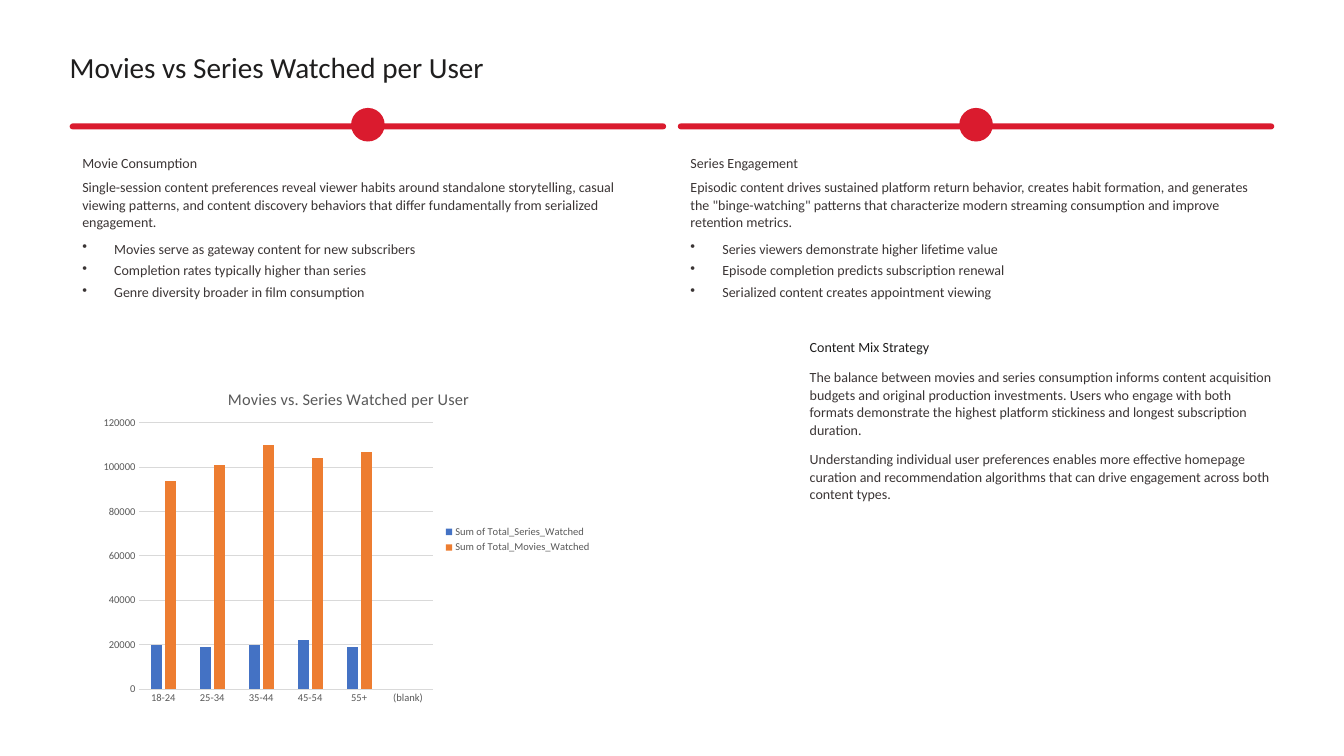
from dataclasses import dataclass

from lxml import etree
from pptx import Presentation
from pptx import util as u
from pptx.chart.data import CategoryChartData
from pptx.dml.color import RGBColor
from pptx.enum import chart as charts, shapes
from pptx.oxml.ns import qn


@dataclass(frozen=True)
class Theme:
    font: str = "Calibri"
    paper: str = "FFFFFF"
    heading: str = "1F1E1E"
    body: str = "3B3535"
    accent: str = "DA1B2E"
    axis_text: str = "595959"
    grid: str = "D9D9D9"
    series: tuple = ("4472C4", "ED7D31")
    title_size: float = 25
    body_size: float = 12
    chart_title_size: float = 14
    chart_size: float = 9


THEME = Theme()

MOVIES = (
    "Movie Consumption",
    "Single-session content preferences reveal viewer habits around standalone storytelling, "
    "casual viewing patterns, and content discovery behaviors that differ fundamentally from "
    "serialized engagement.",
    ["Movies serve as gateway content for new subscribers",
     "Completion rates typically higher than series",
     "Genre diversity broader in film consumption"],
)
SERIES = (
    "Series Engagement",
    "Episodic content drives sustained platform return behavior, creates habit formation, and "
    'generates the "binge-watching" patterns that characterize modern streaming consumption '
    "and improve retention metrics.",
    ["Series viewers demonstrate higher lifetime value",
     "Episode completion predicts subscription renewal",
     "Serialized content creates appointment viewing"],
)
STRATEGY = (
    "Content Mix Strategy",
    "The balance between movies and series consumption informs content acquisition budgets and "
    "original production investments. Users who engage with both formats demonstrate the "
    "highest platform stickiness and longest subscription duration.",
    "Understanding individual user preferences enables more effective homepage curation and "
    "recommendation algorithms that can drive engagement across both content types.",
)
AGE_GROUPS = ["18-24", "25-34", "35-44", "45-54", "55+", "(blank)"]
WATCHED = {
    "Sum of Total_Series_Watched": [20000, 19000, 20000, 22000, 19000, None],
    "Sum of Total_Movies_Watched": [94000, 101000, 110000, 104000, 107000, None],
}


def style_font(font, size, color):
    font.name, font.size, font.bold = THEME.font, u.Pt(size), False
    font.color.rgb = RGBColor.from_string(color)


def add_bullet(para, indent):
    props = para._p.get_or_add_pPr()
    props.set("marL", str(u.Inches(indent)))
    props.set("indent", str(-u.Inches(indent)))
    etree.SubElement(props, qn("a:buChar")).set("char", "•")


def add_text(page, box, lines, color=THEME.body, size=THEME.body_size,
             leading=15, gap=0, bullets=False):
    """Place one paragraph per line, with gap points between paragraphs."""
    frame = page.shapes.add_textbox(*map(u.Inches, box)).text_frame
    frame.word_wrap = True
    frame.margin_left = frame.margin_right = frame.margin_top = frame.margin_bottom = 0
    for index, line in enumerate(lines):
        para = frame.add_paragraph() if index else frame.paragraphs[0]
        if bullets:
            add_bullet(para, 0.38)
        para.line_spacing = u.Pt(leading)
        if index:
            para.space_before = u.Pt(gap)
        span = para.add_run()
        span.text = line
        style_font(span.font, size, color)


def add_accent(page, kind, box):
    shape = page.shapes.add_shape(kind, *map(u.Inches, box))
    shape.shadow.inherit = False
    shape.fill.solid()
    shape.fill.fore_color.rgb = RGBColor.from_string(THEME.accent)
    shape.line.fill.background()
    return shape


def add_topic(page, box, topic):
    """Red bar with a centred dot, then heading, summary and bullets."""
    left, top, width, _ = box
    heading, summary, points = topic
    bar, dot, pad = 0.07, 0.4, 0.15
    line = add_accent(page, shapes.MSO_SHAPE.ROUNDED_RECTANGLE, (left, top, width, bar))
    line.adjustments[0] = 0.5
    add_accent(page, shapes.MSO_SHAPE.OVAL,
               (left + (width - dot) / 2, top + bar / 2 - dot / 2 - 0.02, dot, dot))
    inner = width - 2 * pad
    add_text(page, (left + pad, top + 0.35, inner, 0.22), [heading], leading=15.5)
    add_text(page, (left + pad, top + 0.65, inner, 0.65), [summary])
    add_text(page, (left + pad, top + 1.38, inner, 0.74), points, gap=3.75, bullets=True)


def add_strategy(page, box):
    left, top, width, height = box
    heading, *paragraphs = STRATEGY
    add_text(page, (left, top, width, 0.22), [heading], THEME.heading, leading=15.5)
    add_text(page, (left, top + 0.36, width, height - 0.36), paragraphs, gap=10.5)


def set_layout(parent, index, **places):
    """Give a chart part a manual layout, in shares of the chart."""
    for old in parent.findall(qn("c:layout")):
        parent.remove(old)
    layout = etree.Element(qn("c:layout"))
    manual = etree.SubElement(layout, qn("c:manualLayout"))
    for name, value in places.items():
        etree.SubElement(manual, qn(f"c:{name}")).set("val", str(value))
    parent.insert(index, layout)


def add_watch_chart(page, box):
    data = CategoryChartData()
    data.categories = AGE_GROUPS
    for name, values in WATCHED.items():
        data.add_series(name, values)
    chart = page.shapes.add_chart(charts.XL_CHART_TYPE.COLUMN_CLUSTERED,
                                  *map(u.Inches, box), data).chart
    style_font(chart.font, THEME.chart_size, THEME.axis_text)

    chart.has_title = True
    span = chart.chart_title.text_frame.paragraphs[0].add_run()
    span.text = "Movies vs. Series Watched per User"
    style_font(span.font, THEME.chart_title_size, THEME.axis_text)
    chart.chart_title.include_in_layout = False
    set_layout(chart.chart_title._element, 1, xMode="edge", yMode="edge", x=0.26, y=0.05)
    set_layout(chart._chartSpace.chart.plotArea, 0, layoutTarget="inner", xMode="edge",
               yMode="edge", x=0.09, y=0.16, w=0.58, h=0.775)

    chart.has_legend = True
    chart.legend.position = charts.XL_LEGEND_POSITION.RIGHT
    chart.legend.include_in_layout = False
    style_font(chart.legend.font, THEME.chart_size, THEME.axis_text)

    plot = chart.plots[0]
    plot.gap_width, plot.overlap, plot.vary_by_categories = 219, -27, False
    for series, color in zip(plot.series, THEME.series):
        series.format.fill.solid()
        series.format.fill.fore_color.rgb = RGBColor.from_string(color)

    for axis in (chart.category_axis, chart.value_axis):
        axis.major_tick_mark = axis.minor_tick_mark = charts.XL_TICK_MARK.NONE
        style_font(axis.tick_labels.font, THEME.chart_size, THEME.axis_text)
    values = chart.value_axis
    values.minimum_scale, values.maximum_scale, values.major_unit = 0, 120000, 20000
    values.format.line.fill.background()
    values.has_major_gridlines = True
    for line in (values.major_gridlines.format.line, chart.category_axis.format.line):
        line.color.rgb = RGBColor.from_string(THEME.grid)
        line.width = u.Pt(0.75)


def build_page(deck):
    page = deck.slides.add_slide(deck.slide_layouts[6])
    page.background.fill.solid()
    page.background.fill.fore_color.rgb = RGBColor.from_string(THEME.paper)
    margin, gutter, top = 0.83, 0.14, 1.47
    width = (16 - 2 * margin - gutter) / 2
    add_text(page, (margin, 0.57, 6.32, 0.44), ["Movies vs Series Watched per User"],
             THEME.heading, THEME.title_size, leading=31.5)
    for column, topic in enumerate((MOVIES, SERIES)):
        add_topic(page, (margin + column * (width + gutter), top, width, 2.25), topic)
    add_strategy(page, (9.64, 4.02, 5.54, 2))
    add_watch_chart(page, (1.11, 4.38, 6.03, 4.09))


def main():
    deck = Presentation()
    deck.slide_width, deck.slide_height = u.Inches(16), u.Inches(9)
    build_page(deck)
    deck.save("out.pptx")


if __name__ == "__main__":
    main()
